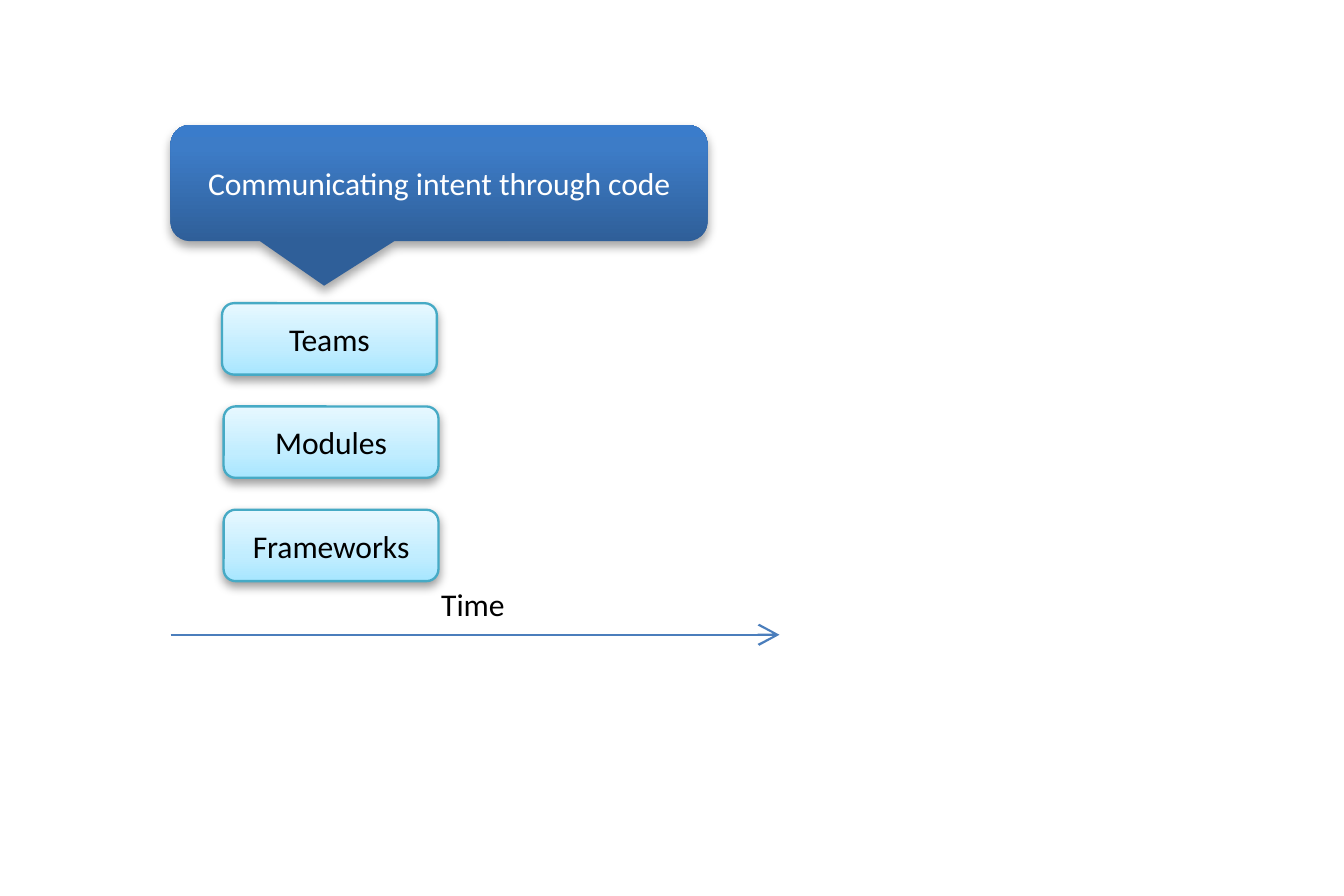
import copy

import lxml.etree
import pptx
import pptx.dml.color
import pptx.enum.shapes
import pptx.enum.text
import pptx.oxml.ns
import pptx.util

Pt = pptx.util.Pt
RGBColor = pptx.dml.color.RGBColor
SHAPES = pptx.enum.shapes.MSO_SHAPE
qn = pptx.oxml.ns.qn

WHITE = RGBColor(0xFF, 0xFF, 0xFF)
BLACK = RGBColor(0, 0, 0)
TEAL = RGBColor(0x46, 0xAA, 0xC5)
AXIS_BLUE = RGBColor(0x4B, 0x7E, 0xBC)
BLUE_STOPS = ((0, RGBColor(0x2F, 0x5F, 0x99)), (0.8, RGBColor(0x3D, 0x7C, 0xC7)),
              (1, RGBColor(0x3A, 0x7C, 0xCB)))
ICE_STOPS = ((0, RGBColor(0xA7, 0xE6, 0xFF)), (0.35, RGBColor(0xC1, 0xED, 0xFF)),
             (1, RGBColor(0xE7, 0xF8, 0xFF)))

THEME = "Communicating intent through code"
TOPICS = (("Teams", 70.3), ("Modules", 70.8), ("Frameworks", 70.8))
AXIS_LABEL = "Time"

AXIS_LEFT, AXIS_RIGHT, AXIS_TOP = 54, 246.8, 201
TOPIC_TOP, TOPIC_PITCH = 96, 32.7
TOPIC_WIDTH, TOPIC_HEIGHT = 68, 22.6


def write(frame, text, color):
    frame.text = text
    font = frame.paragraphs[0].runs[0].font
    font.name, font.size, font.color.rgb = "Calibri", Pt(10), color


def add_effects(shape):
    return lxml.etree.SubElement(shape._element.spPr, qn("a:effectLst"))


def add_shadow(shape, distance, opacity):
    shadow = lxml.etree.SubElement(
        add_effects(shape), qn("a:outerShdw"), blurRad=str(Pt(3.1)),
        dist=str(Pt(distance)), dir="5400000", rotWithShape="0")
    color = lxml.etree.SubElement(shadow, qn("a:srgbClr"), val=str(BLACK))
    lxml.etree.SubElement(color, qn("a:alpha"), val=str(opacity * 1000))


def add_box(preset, left, top, width, height, stops, border, shadow, text, color):
    box = slide.shapes.add_shape(preset, Pt(left), Pt(top), Pt(width), Pt(height))
    box.fill.gradient()
    box.fill.gradient_angle = 90
    stop_list = box._element.spPr.find(".//" + qn("a:gsLst"))
    stop_list.append(copy.deepcopy(stop_list[-1]))
    for stop, (position, stop_color) in zip(box.fill.gradient_stops, stops):
        stop.position, stop.color.rgb = position, stop_color
    if border is None:
        box.line.fill.background()
    else:
        box.line.color.rgb, box.line.width = border, Pt(0.75)
    add_shadow(box, *shadow)
    box.text_frame.vertical_anchor = pptx.enum.text.MSO_ANCHOR.MIDDLE
    write(box.text_frame, text, color)
    box.text_frame.paragraphs[0].alignment = pptx.enum.text.PP_ALIGN.CENTER
    return box


deck = pptx.Presentation()
deck.slide_width, deck.slide_height = Pt(425.5), Pt(283.7)
slide = deck.slides.add_slide(deck.slide_layouts[6])

callout = add_box(SHAPES.ROUNDED_RECTANGULAR_CALLOUT, AXIS_LEFT, 39.6, 170, 36.8,
                  BLUE_STOPS, None, (1.8, 35), THEME, WHITE)
for index, value in enumerate((-0.214, 0.883, 0.167)):
    callout.adjustments[index] = value

for row, (topic, left) in enumerate(TOPICS):
    add_box(SHAPES.ROUNDED_RECTANGLE, left, TOPIC_TOP + row * TOPIC_PITCH,
            TOPIC_WIDTH, TOPIC_HEIGHT, ICE_STOPS, TEAL, (1.6, 38), topic, BLACK)

time_axis = slide.shapes.add_connector(
    pptx.enum.shapes.MSO_CONNECTOR.STRAIGHT,
    Pt(AXIS_LEFT), Pt(AXIS_TOP), Pt(AXIS_RIGHT), Pt(AXIS_TOP))
time_axis.line.color.rgb, time_axis.line.width = AXIS_BLUE, Pt(0.75)
lxml.etree.SubElement(time_axis.line._get_or_add_ln(), qn("a:tailEnd"), type="arrow")
add_effects(time_axis)

time_label = slide.shapes.add_textbox(Pt(132.6), Pt(181.6), Pt(34.6), Pt(19.4))
time_label.text_frame.word_wrap = False
time_label.text_frame.auto_size = pptx.enum.text.MSO_AUTO_SIZE.SHAPE_TO_FIT_TEXT
write(time_label.text_frame, AXIS_LABEL, BLACK)

deck.save("out.pptx")
